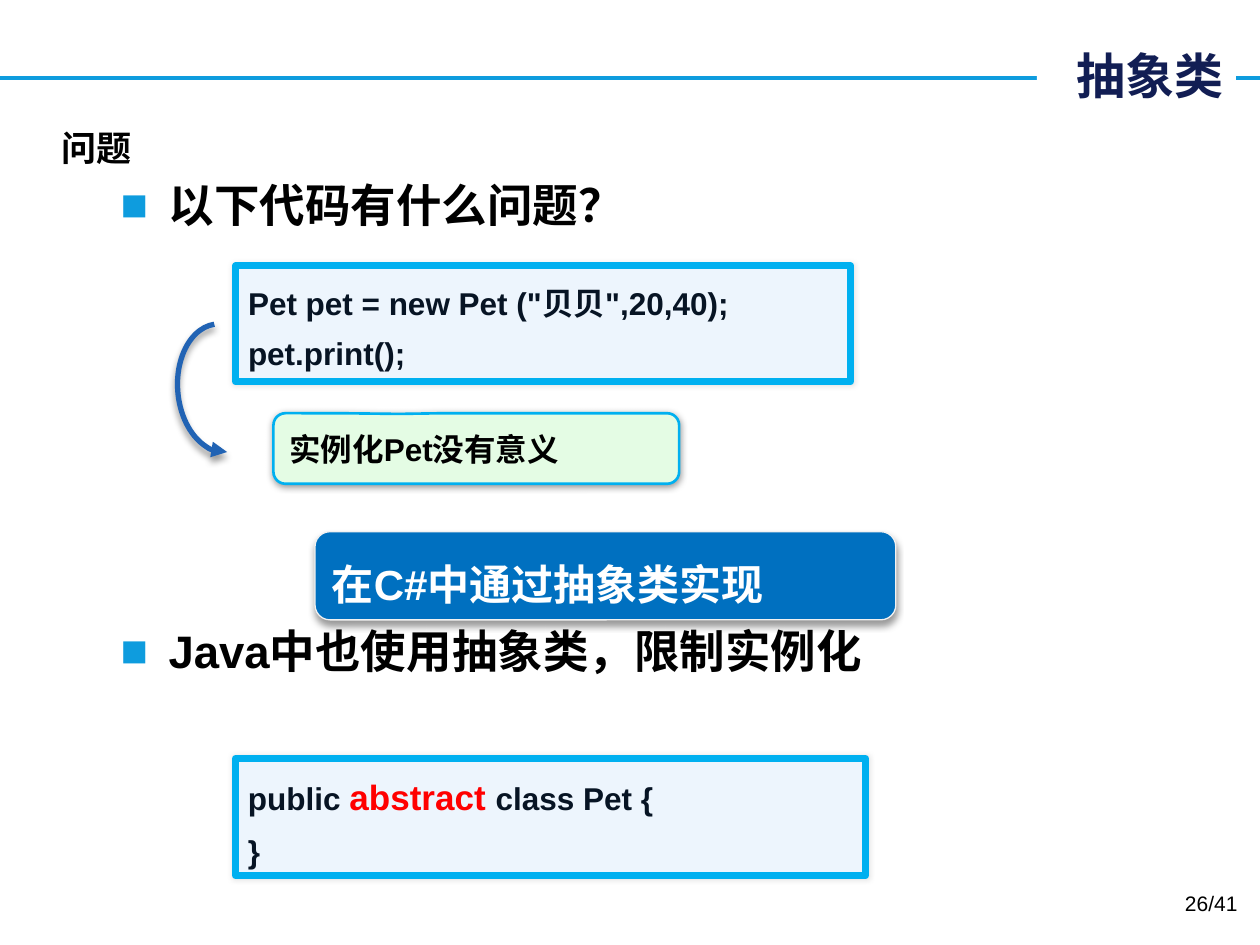
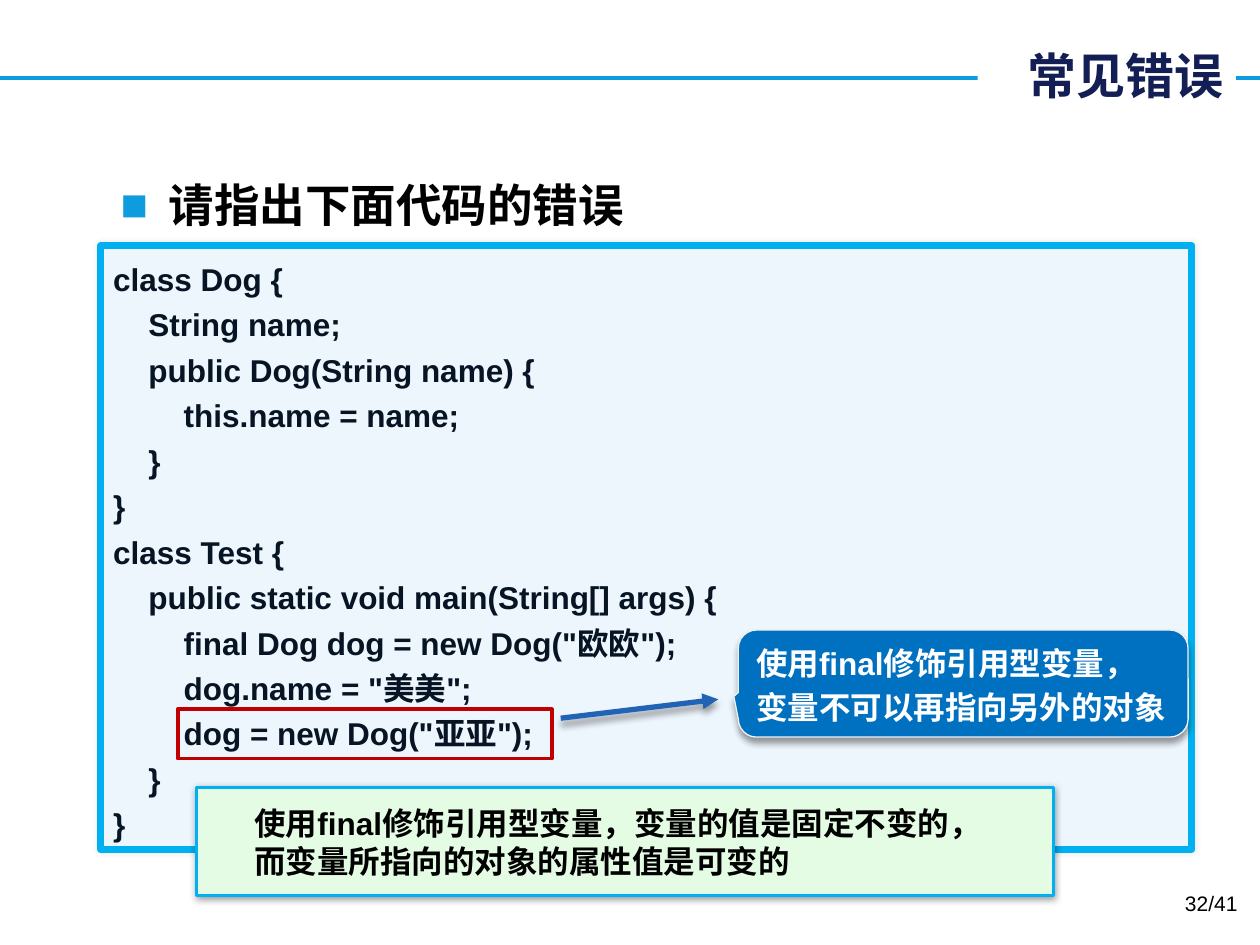
from dataclasses import dataclass

from lxml import etree
from pptx import Presentation
from pptx.dml.color import RGBColor
from pptx.enum.shapes import MSO_CONNECTOR, MSO_SHAPE
from pptx.enum.text import MSO_ANCHOR, PP_ALIGN
from pptx.oxml.ns import qn
from pptx.util import Inches, Pt

STRAIGHT = MSO_CONNECTOR.STRAIGHT
ARC = MSO_SHAPE.ARC
RECTANGLE = MSO_SHAPE.RECTANGLE
ROUNDED = MSO_SHAPE.ROUNDED_RECTANGLE
CALLOUT = MSO_SHAPE.ROUNDED_RECTANGULAR_CALLOUT
TOP, MIDDLE, BOTTOM = MSO_ANCHOR.TOP, MSO_ANCHOR.MIDDLE, MSO_ANCHOR.BOTTOM
LEFT, RIGHT = PP_ALIGN.LEFT, PP_ALIGN.RIGHT


@dataclass(frozen=True)
class Theme:
    latin: str = "Arial"
    chinese: str = "Noto Sans CJK SC"
    black: str = "000000"
    white: str = "FFFFFF"
    title: str = "121E54"
    accent: str = "0E9CDE"
    code: str = "071424"
    keyword: str = "FF0000"
    arrow: str = "2163B4"
    error: str = "C00000"
    title_size: float = 28
    bullet_size: float = 26
    banner_size: float = 24
    label_size: float = 20
    text_size: float = 18
    page_size: float = 12


@dataclass(frozen=True)
class PanelStyle:
    fill: str
    line: str
    width: float
    text: str
    anchor: MSO_ANCHOR
    shadow: tuple  # opacity %, blur pt, distance pt, direction degrees
    wrap: bool = True


THEME = Theme()
DROP_SHADOW = (40, 4, 3, 90)
CODE = PanelStyle("EDF5FD", "00B0F0", 4, THEME.code, TOP, (10, 3, 0, 0))
NOTE = PanelStyle("E4FCE4", "00B0F0", 1.5, THEME.black, MIDDLE, (40, 4, 1, 90))
BANNER = PanelStyle("0070C0", "F2F2F2", 0.75, THEME.white, BOTTOM, DROP_SHADOW, False)
CODE_INDENT = 0.28


def color(value):
    return RGBColor.from_string(value)


def shadow_effect(opacity, blur, distance, direction):
    effects = etree.Element(qn("a:effectLst"))
    outer = etree.SubElement(
        effects, qn("a:outerShdw"), blurRad=str(Pt(blur)), dist=str(Pt(distance)),
        dir=str(direction * 60000), algn="ctr", rotWithShape="0")
    tint = etree.SubElement(outer, qn("a:srgbClr"), val=THEME.black)
    etree.SubElement(tint, qn("a:alpha"), val=str(opacity * 1000))
    return effects


def set_shadow(shape, shadow=None):
    """Replace the theme shadow; call after fill and line are set."""
    effects = shadow_effect(*shadow) if shadow else etree.Element(qn("a:effectLst"))
    shape.element.spPr.append(effects)


def set_line(shape, line_color, width, arrow=False):
    shape.line.color.rgb = color(line_color)
    shape.line.width = Pt(width)
    if arrow:
        etree.SubElement(shape.line._get_or_add_ln(), qn("a:tailEnd"), type="triangle")


def add_run(paragraph, text, size, text_color, bold=True, font=THEME.latin):
    run = paragraph.add_run()
    run.text = text
    run.font.size = Pt(size)
    run.font.bold = bold
    run.font.color.rgb = color(text_color)
    run.font.name = font
    properties = run._r.get_or_add_rPr()
    properties.set("lang", "zh-CN")
    east_asian = etree.Element(qn("a:ea"), typeface=THEME.chinese)
    properties.find(qn("a:latin")).addnext(east_asian)
    return run


def add_text(slide, box, text, size, text_color=THEME.black, align=LEFT,
             anchor=TOP, wrap=True, **run_options):
    text_box = slide.shapes.add_textbox(*map(Inches, box))
    frame = text_box.text_frame
    frame.word_wrap = wrap
    frame.vertical_anchor = anchor
    paragraph = frame.paragraphs[0]
    paragraph.alignment = align
    run = add_run(paragraph, text, size, text_color, **run_options)
    return text_box, run


def add_panel(slide, kind, box, style, lines, spacing=None, adjustments=(),
              size=THEME.text_size, inset=0.1):
    """Each line is (indent level, [(text, size, color), ...]) or plain text."""
    panel = slide.shapes.add_shape(kind, *map(Inches, box))
    for index, value in enumerate(adjustments):
        panel.adjustments[index] = value
    panel.fill.solid()
    panel.fill.fore_color.rgb = color(style.fill)
    set_line(panel, style.line, style.width)
    set_shadow(panel, style.shadow)

    frame = panel.text_frame
    frame.word_wrap = style.wrap
    frame.vertical_anchor = style.anchor
    frame.margin_left = Inches(inset)
    for index, line in enumerate(lines):
        level, runs = (0, [(line, size, style.text)]) if isinstance(line, str) else line
        paragraph = frame.add_paragraph() if index else frame.paragraphs[0]
        paragraph.alignment = LEFT
        if spacing:
            paragraph.line_spacing = Pt(spacing)
        if level:
            properties = paragraph._p.get_or_add_pPr()
            properties.set("marL", str(Inches(level * CODE_INDENT)))
            properties.set("indent", "0")
        for text, run_size, run_color in runs:
            add_run(paragraph, text, run_size, run_color)
    return panel


def add_code(slide, box, lines, spacing):
    add_panel(slide, ROUNDED, box, CODE, lines, spacing, (0,))


def code_line(level, text):
    return level, [(text, THEME.text_size, THEME.code)]


def add_bullet(slide, box, text):
    text_box, _ = add_text(slide, box, text, THEME.bullet_size)
    text_box.text_frame.margin_top = Inches(0.08)
    paragraph = text_box.text_frame.paragraphs[0]
    paragraph.line_spacing = Pt(31)
    properties = paragraph._p.get_or_add_pPr()
    properties.set("marL", str(Inches(0.38)))
    properties.set("indent", str(Inches(-0.38)))
    bullet_color = etree.SubElement(properties, qn("a:buClr"))
    etree.SubElement(bullet_color, qn("a:srgbClr"), val=THEME.accent)
    etree.SubElement(properties, qn("a:buFont"), typeface=THEME.latin)
    etree.SubElement(properties, qn("a:buChar"), char="■")


def add_arrow(slide, start, end):
    arrow = slide.shapes.add_connector(STRAIGHT, *map(Inches, start + end))
    set_line(arrow, THEME.arrow, 3, arrow=True)
    set_shadow(arrow, DROP_SHADOW)


def add_curved_arrow(slide, box):
    arc = slide.shapes.add_shape(ARC, *map(Inches, box))
    arc.adjustments[0] = 109.3
    arc.adjustments[1] = 0.18
    arc.rotation = 85.5
    arc.element.spPr.find(qn("a:xfrm")).set("flipV", "1")
    arc.fill.background()
    set_line(arc, THEME.arrow, 3, arrow=True)
    set_shadow(arc, DROP_SHADOW)


def add_outline(slide, box):
    outline = slide.shapes.add_shape(RECTANGLE, *map(Inches, box))
    outline.fill.background()
    set_line(outline, THEME.error, 2.25)
    set_shadow(outline)


def new_slide(presentation, title, title_width, page):
    """Blank slide with the title rule, title and page number."""
    slide = presentation.slides.add_slide(presentation.slide_layouts[6])
    rule = slide.shapes.add_connector(STRAIGHT, *map(Inches, (0, 0.62, 10, 0.62)))
    set_line(rule, THEME.accent, 2.25)
    set_shadow(rule)
    title_box, _ = add_text(
        slide, (9.81 - title_width, 0.31, title_width, 0.57), title,
        THEME.title_size, THEME.title, RIGHT, MIDDLE, font=THEME.chinese)
    title_box.fill.solid()
    title_box.fill.fore_color.rgb = color(THEME.white)
    add_text(slide, (7.59, 7.02, 2.33, 0.4), f"{page}/41",
             THEME.page_size, align=RIGHT, bold=False)
    return slide


def build_abstract_class(presentation):
    slide = new_slide(presentation, "抽象类", 1.58, 26)

    # Question and the faulty code
    _, label = add_text(slide, (0.39, 0.95, 0.77, 0.44), "问题", THEME.label_size,
                        anchor=MIDDLE, wrap=False, font=THEME.chinese)
    label_fill = label._r.get_or_add_rPr().find(qn("a:solidFill"))
    label_fill.addnext(shadow_effect(*DROP_SHADOW))
    add_bullet(slide, (0.86, 1.33, 8.36, 0.55), "以下代码有什么问题？")
    add_code(slide, (1.87, 2.11, 4.88, 0.92),
             ['Pet pet = new Pet ("贝贝",20,40);', "pet.print();"], 28.4)
    add_panel(slide, CALLOUT, (2.17, 3.28, 3.22, 0.56), NOTE,
              ["实例化Pet没有意义"], adjustments=(-0.19, -0.49, 0.17))
    add_curved_arrow(slide, (1.25, 2.73, 1.02, 0.7))

    # Answer with the abstract keyword
    add_bullet(slide, (0.86, 4.87, 8.36, 0.55), "Java中也使用抽象类，限制实例化")
    declaration = (0, [("public ", THEME.text_size, THEME.code),
                       ("abstract ", THEME.label_size, THEME.keyword),
                       ("class Pet {", THEME.text_size, THEME.code)])
    add_code(slide, (1.87, 6.02, 5, 0.93), [declaration, "}"], 30)
    add_panel(slide, ROUNDED, (2.5, 4.22, 4.61, 0.7), BANNER,
              ["在C#中通过抽象类实现"], adjustments=(0.17,), size=THEME.banner_size)


def build_common_errors(presentation):
    slide = new_slide(presentation, "常见错误", 2.05, 32)

    # Code listing
    add_bullet(slide, (0.86, 1.33, 8.36, 0.55), "请指出下面代码的错误")
    listing = [
        (0, "class Dog {"),
        (1, "String name;"),
        (1, "public Dog(String name) {"),
        (2, "this.name = name;"),
        (1, "}"),
        (0, "}"),
        (0, "class Test {"),
        (1, "public static void main(String[] args) {"),
        (2, 'final Dog dog = new Dog("欧欧");'),
        (2, 'dog.name = "美美";'),
        (2, 'dog = new Dog("亚亚");'),
        (1, "}"),
        (0, "}"),
    ]
    add_code(slide, (0.8, 1.95, 8.66, 4.79),
             [code_line(level, text) for level, text in listing], 26)

    # Marked error and its explanation
    add_outline(slide, (1.41, 5.63, 2.97, 0.39))
    add_panel(slide, CALLOUT, (5.86, 5, 3.57, 0.85), BANNER,
              ["使用final修饰引用型变量，", "变量不可以再指向另外的对象"],
              25.2, (-0.51, 0.12, 0.17))
    add_panel(slide, ROUNDED, (1.56, 6.25, 6.8, 0.86), NOTE,
              ["使用final修饰引用型变量，变量的值是固定不变的，",
               "而变量所指向的对象的属性值是可变的"], 21.6, (0,), inset=0.46)
    add_arrow(slide, (4.45, 5.7), (5.7, 5.55))


def main():
    presentation = Presentation()
    presentation.slide_width = Inches(10)
    presentation.slide_height = Inches(7.5)
    build_abstract_class(presentation)
    build_common_errors(presentation)
    presentation.save("out.pptx")


if __name__ == "__main__":
    main()
